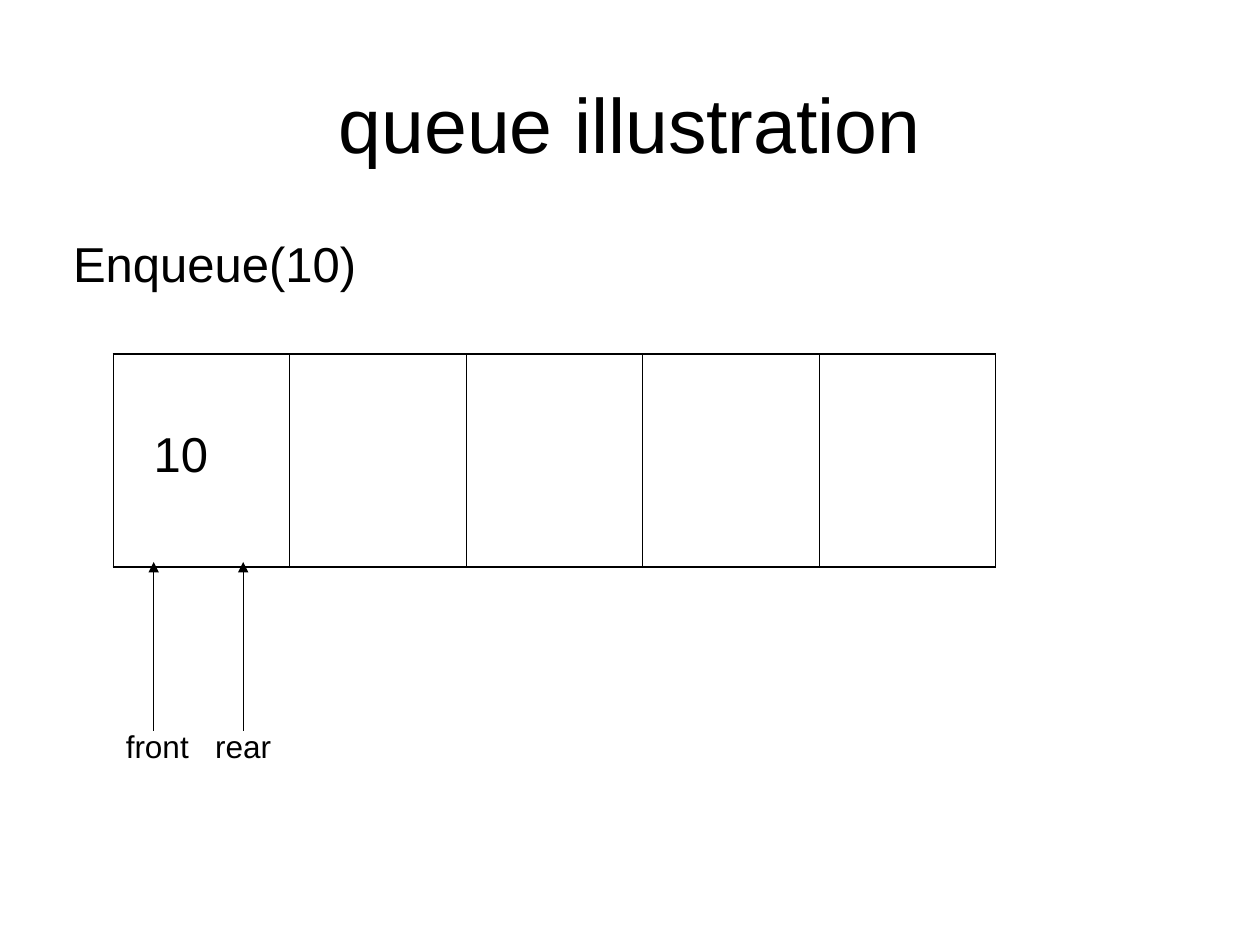
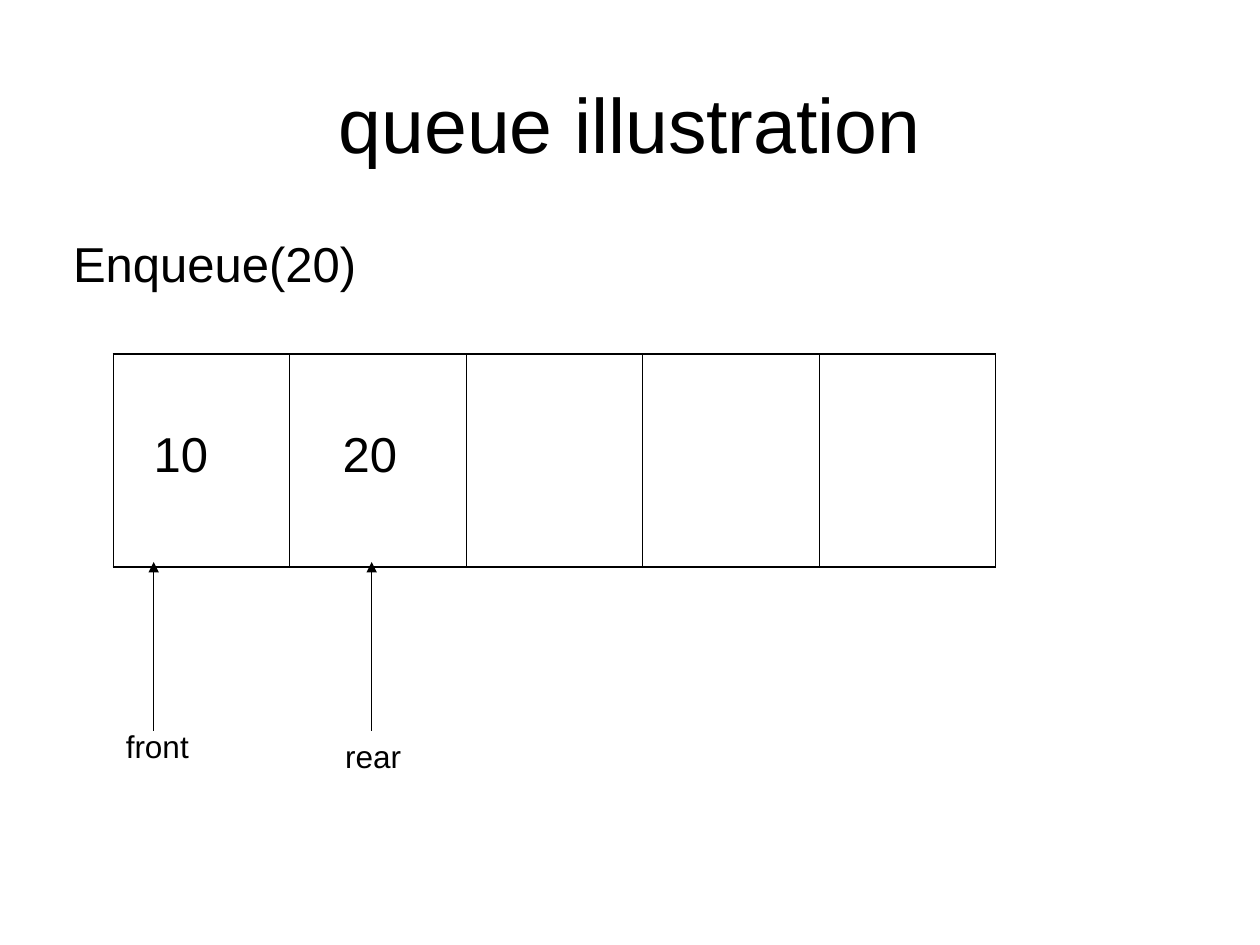
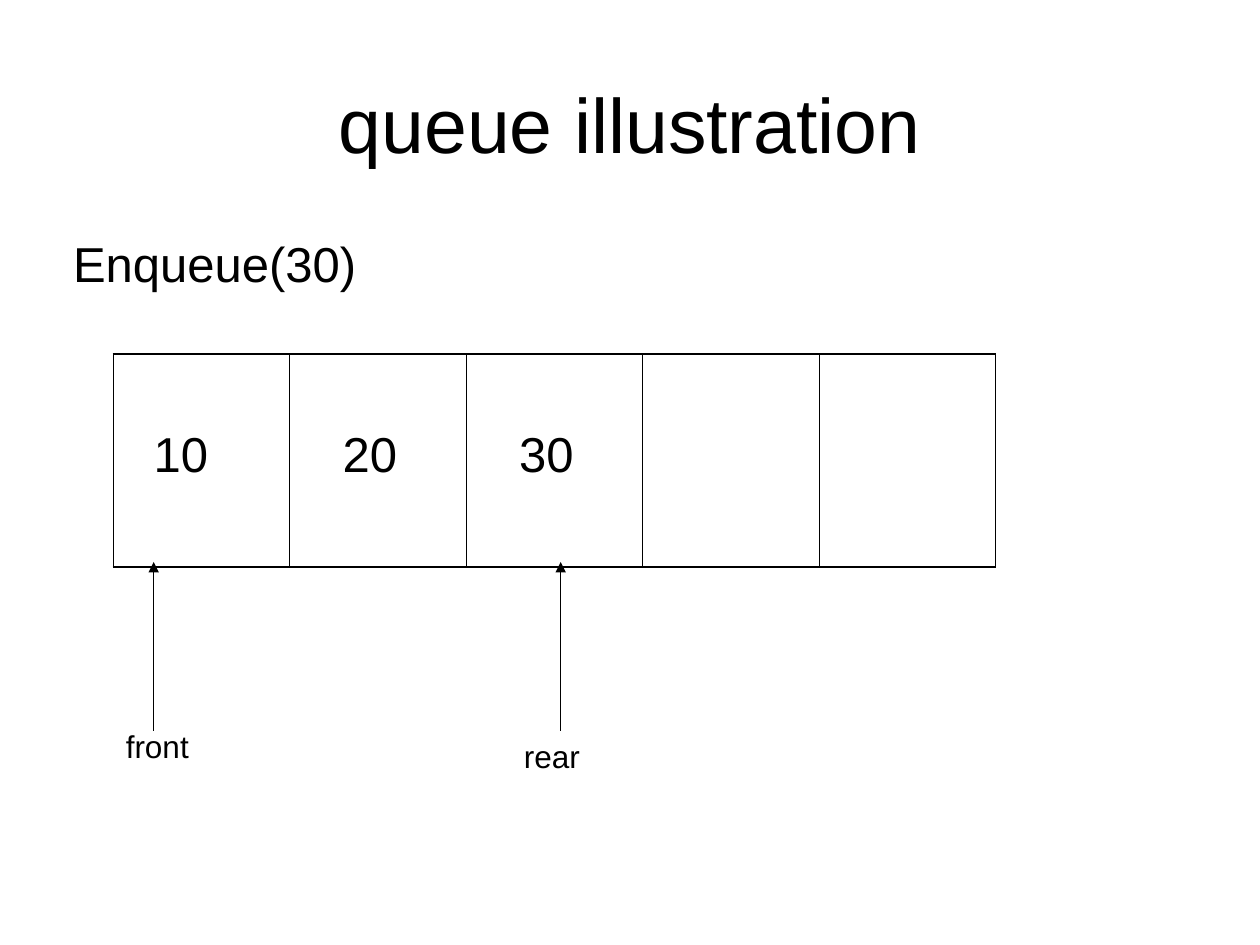
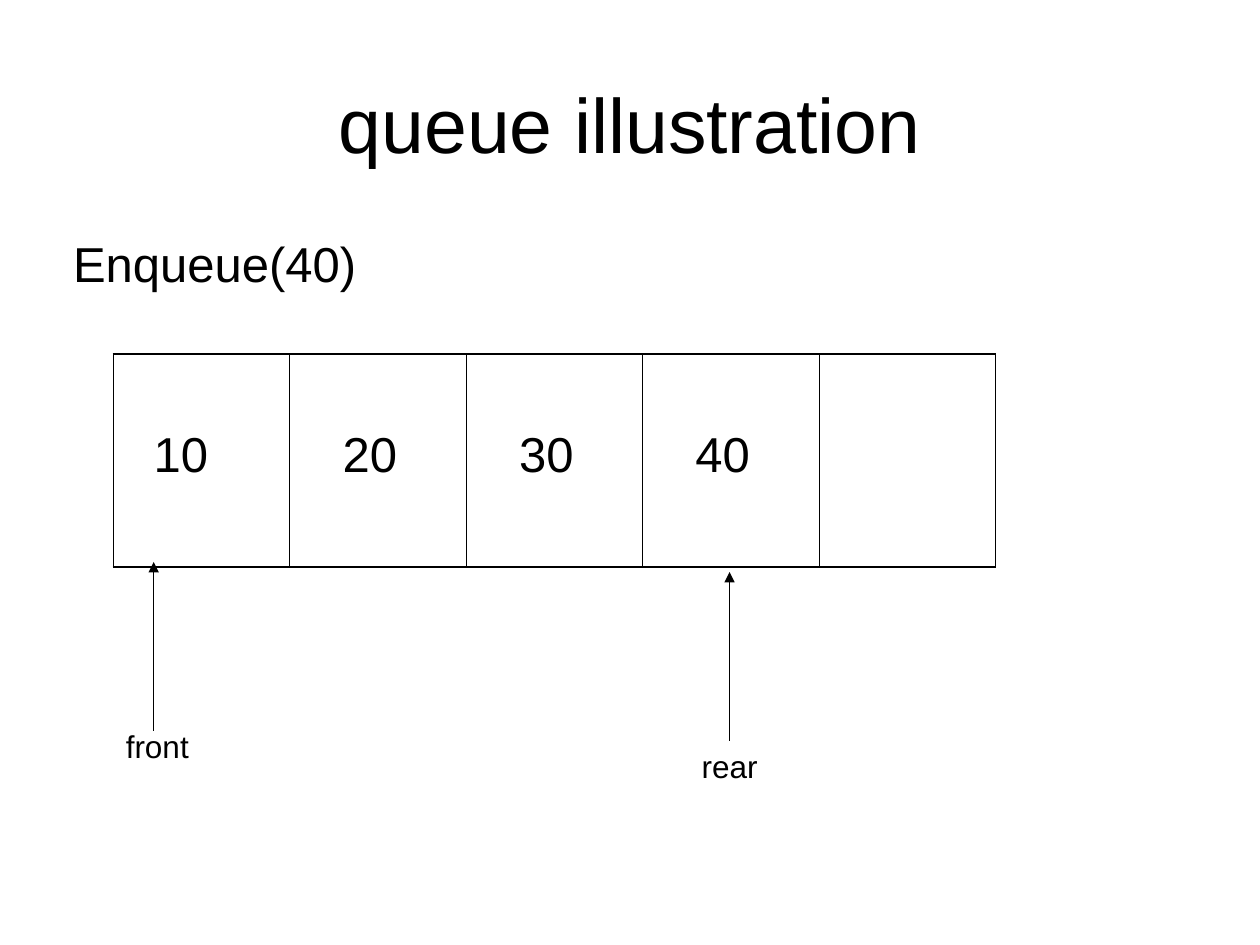
from lxml.etree import SubElement
from pptx import Presentation
from pptx.dml.color import RGBColor
from pptx.enum.shapes import MSO_CONNECTOR as Connector
from pptx.enum.text import MSO_ANCHOR as Anchor, MSO_AUTO_SIZE as AutoSize, PP_ALIGN as Align
from pptx.oxml.ns import qn
from pptx.util import Inches, Pt

# Shared look
BLACK = RGBColor(0x00, 0x00, 0x00)
WHITE = RGBColor(0xFF, 0xFF, 0xFF)
FONT = "Arial"
TITLE = "queue illustration"
THICK, THIN = Pt(1.08), Pt(0.45)

# Queue geometry
SLOTS = 5
TABLE_LEFT, TABLE_TOP = 0.9, 2.81
SLOT_WIDTH, SLOT_HEIGHT = 1.4, 1.69
LABEL_WIDTH, LABEL_HEIGHT = 0.71, 0.4
ARROW_LENGTH = 1.34
FRONT = ("front", 0.9, 5.72, 1.22, 5.8)

# Each step: value added, then the rear label, its left and top, arrow x and arrow start
STEPS = [
    (10, ("rear", 1.61, 5.72, 1.93, 5.8)),
    (20, ("rear", 2.64, 5.8, 2.95, 5.8)),
    (30, ("rear", 4.06, 5.8, 4.45, 5.8)),
    (40, ("rear", 5.47, 5.88, 5.79, 5.88)),
]


def write(frame, text, size=28, align=Align.LEFT):
    para = frame.paragraphs[0]
    para.alignment = align
    span = para.add_run()
    span.text = text
    span.font.size = Pt(size)
    span.font.name = FONT
    span.font.color.rgb = BLACK


def add_border(cell, side, width):
    border = SubElement(cell._tc.get_or_add_tcPr(), qn(f"a:{side}"), w=str(width))
    fill = SubElement(border, qn("a:solidFill"))
    SubElement(fill, qn("a:srgbClr"), val=str(BLACK))


deck = Presentation()
deck.slide_width, deck.slide_height = Inches(10), Inches(7.5)
queue = []

for value, rear in STEPS:
    queue.append(value)
    page = deck.slides.add_slide(deck.slide_layouts[5])
    page.background.fill.solid()
    page.background.fill.fore_color.rgb = WHITE

    # Title
    title = page.shapes.title
    title.left, title.top = Inches(0.5), Inches(0.3)
    title.width, title.height = Inches(9), Inches(1.25)
    frame = title.text_frame
    frame.auto_size = AutoSize.NONE
    frame.vertical_anchor = Anchor.MIDDLE
    frame.margin_top = Inches(0.15)
    write(frame, TITLE, size=44, align=Align.CENTER)

    # Operation
    box = page.shapes.add_textbox(Inches(0.5), Inches(1.75), Inches(4.42), Inches(4.95))
    frame = box.text_frame
    frame.word_wrap = True
    frame.margin_left, frame.margin_top = Inches(0.08), Inches(0.1)
    write(frame, f"Enqueue({value})")

    # Queue slots
    table = page.shapes.add_table(
        1, SLOTS, Inches(TABLE_LEFT), Inches(TABLE_TOP),
        Inches(SLOT_WIDTH * SLOTS), Inches(SLOT_HEIGHT)).table
    table.first_row = table.horz_banding = False
    for slot in range(SLOTS):
        cell = table.cell(0, slot)
        add_border(cell, "lnL", THICK if slot == 0 else THIN)
        add_border(cell, "lnR", THICK if slot == SLOTS - 1 else THIN)
        add_border(cell, "lnT", THICK)
        add_border(cell, "lnB", THICK)
        cell.fill.background()
        if slot < len(queue):
            cell.margin_left = Inches(0.32 if slot == 0 else 0.42)
            cell.margin_top = Inches(0.59)
            write(cell.text_frame, str(queue[slot]))

    # Front and rear labels
    for name, left, top, arrow_x, arrow_start in (FRONT, rear):
        label = page.shapes.add_textbox(
            Inches(left), Inches(top), Inches(LABEL_WIDTH), Inches(LABEL_HEIGHT))
        label.text_frame.word_wrap = True
        write(label.text_frame, name, size=18)

    # Front and rear arrows
    for name, left, top, arrow_x, arrow_start in (FRONT, rear):
        arrow = page.shapes.add_connector(
            Connector.STRAIGHT, Inches(arrow_x), Inches(arrow_start),
            Inches(arrow_x), Inches(arrow_start - ARROW_LENGTH))
        arrow.line.color.rgb = BLACK
        arrow.line.width = Pt(0.75)
        SubElement(arrow.line._get_or_add_ln(), qn("a:tailEnd"), type="triangle")
        SubElement(arrow._element.spPr, qn("a:effectLst"))

deck.save("out.pptx")
